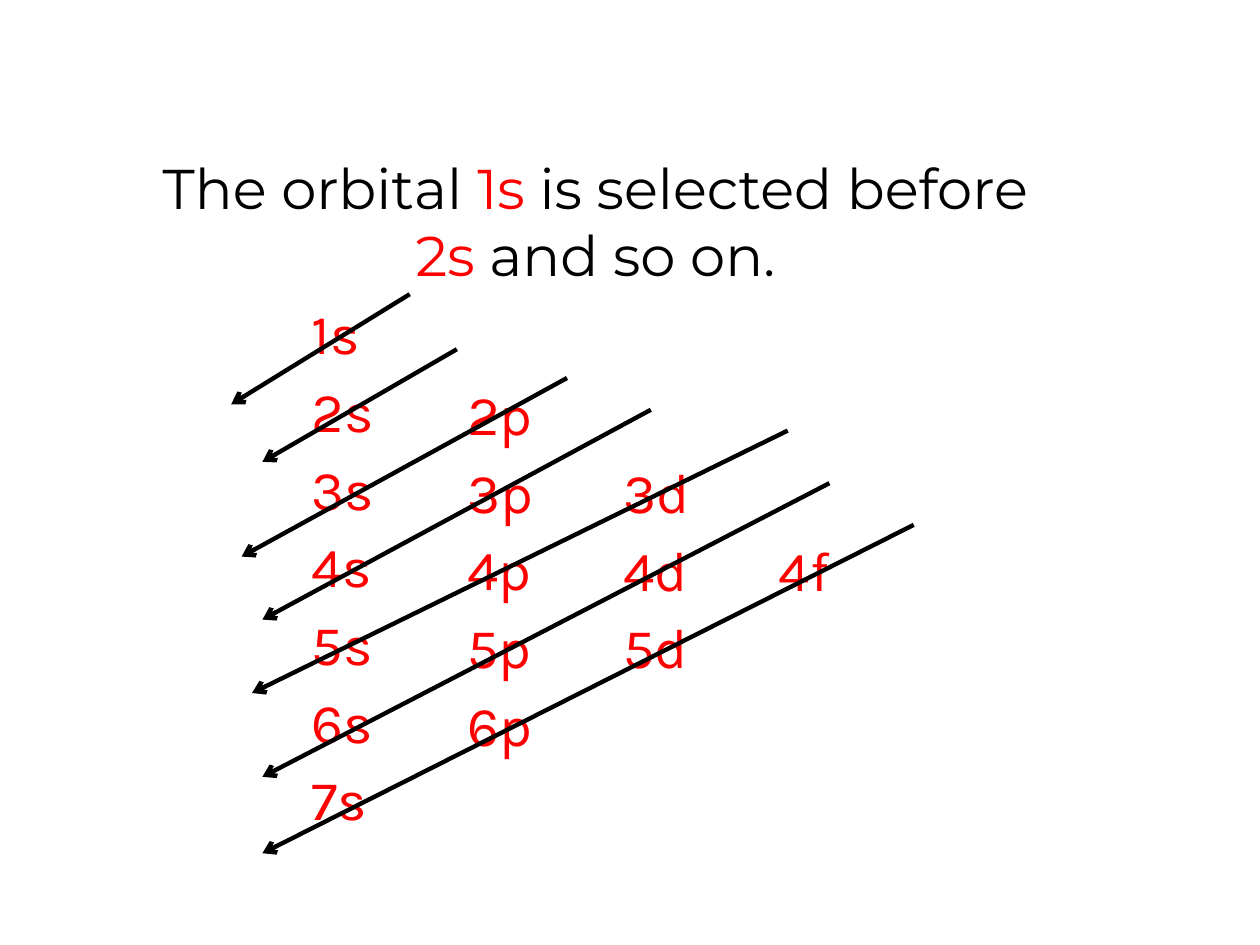
from pptx import Presentation
from pptx.dml.color import RGBColor
from pptx.enum.shapes import MSO_CONNECTOR
from pptx.enum.text import MSO_ANCHOR, PP_ALIGN
from pptx.oxml import parse_xml
from pptx.oxml.ns import nsdecls
from pptx.util import Cm, Pt

BLACK = RGBColor(0, 0, 0)
RED = RGBColor(255, 0, 0)

TITLE = [("The orbital ", BLACK), ("1s ", RED), ("is selected before ", BLACK),
         ("2s", RED), (" and so on.", BLACK)]
SHELLS = {"s": (1, 7), "p": (2, 6), "d": (3, 5), "f": (4, 4)}
LEFT, TOP = 6.28, 6.08
STEP, PITCH = 3.14, 1.57
INDENT = 3.92
ARROWS = [
    (8.26, 5.93, 4.66, 8.15),
    (9.21, 7.04, 5.29, 9.31),
    (11.43, 7.62, 4.87, 11.22),
    (13.12, 8.26, 5.29, 12.49),
    (15.88, 8.68, 5.08, 13.97),
    (16.72, 9.74, 5.29, 15.66),
    (18.42, 10.58, 5.29, 17.2),
]


class Deck:
    size = Pt(32)
    width = Pt(2.5)
    gap = Pt(6)

    def __init__(self):
        self.prs = Presentation()
        self.prs.slide_width = Cm(25.4)
        self.prs.slide_height = Cm(19.05)
        self.slide = self.prs.slides.add_slide(self.prs.slide_layouts[1])
        title = self.slide.shapes.title
        title.element.getparent().remove(title.element)

    def body(self, left, top, width, height):
        box = self.slide.placeholders[1]
        box.left, box.top = Cm(left), Cm(top)
        box.width, box.height = Cm(width), Cm(height)
        frame = box.text_frame
        frame.word_wrap = True
        frame.vertical_anchor = MSO_ANCHOR.TOP
        return frame

    def plain(self, para, indent):
        para.space_before = self.gap
        props = para._p.get_or_add_pPr()
        props.set("marL", str(Cm(indent)))
        props.set("indent", "0")
        props.append(parse_xml(f"<a:buNone {nsdecls('a')}/>"))

    def style(self, run, font, color):
        run.font.name = font
        run.font.size = self.size
        run.font.color.rgb = color

    def head(self, para, parts):
        para.alignment = PP_ALIGN.CENTER
        self.plain(para, 0.18)
        for text, color in parts:
            run = para.add_run()
            run.text = text
            self.style(run, "Montserrat", color)

    def item(self, para, text, indent=0):
        para.text = text
        para.alignment = PP_ALIGN.LEFT
        self.plain(para, indent)
        self.style(para.runs[0], "Karla", RED)

    def column(self, left, top, names):
        box = self.slide.shapes.add_textbox(
            Cm(left), Cm(top), Cm(2), Cm(PITCH * len(names)))
        frame = box.text_frame
        frame.word_wrap = True
        frame.margin_left = frame.margin_right = 0
        frame.margin_top = frame.margin_bottom = 0
        for row, name in enumerate(names):
            para = frame.add_paragraph() if row else frame.paragraphs[0]
            self.item(para, name)
        frame.paragraphs[0].space_before = Pt(0)

    def arrow(self, *ends):
        link = self.slide.shapes.add_connector(
            MSO_CONNECTOR.STRAIGHT, *(Cm(end) for end in ends))
        link.line.color.rgb = BLACK
        link.line.width = self.width
        link.line._get_or_add_ln().append(
            parse_xml(f'<a:tailEnd {nsdecls("a")} type="arrow"/>'))
        link._element.spPr.append(parse_xml(f"<a:effectLst {nsdecls('a')}/>"))


def main():
    deck = Deck()
    frame = deck.body(2.11, 2.97, 19.61, 14.81)
    deck.head(frame.paragraphs[0], TITLE)
    for col, (kind, (first, last)) in enumerate(SHELLS.items()):
        names = [f"{shell}{kind}" for shell in range(first, last + 1)]
        if col:
            deck.column(LEFT + STEP * col, TOP + PITCH * (first - 1), names)
        else:
            for name in names:
                deck.item(frame.add_paragraph(), name, INDENT)
    for ends in ARROWS:
        deck.arrow(*ends)
    deck.prs.save("out.pptx")


if __name__ == "__main__":
    main()
